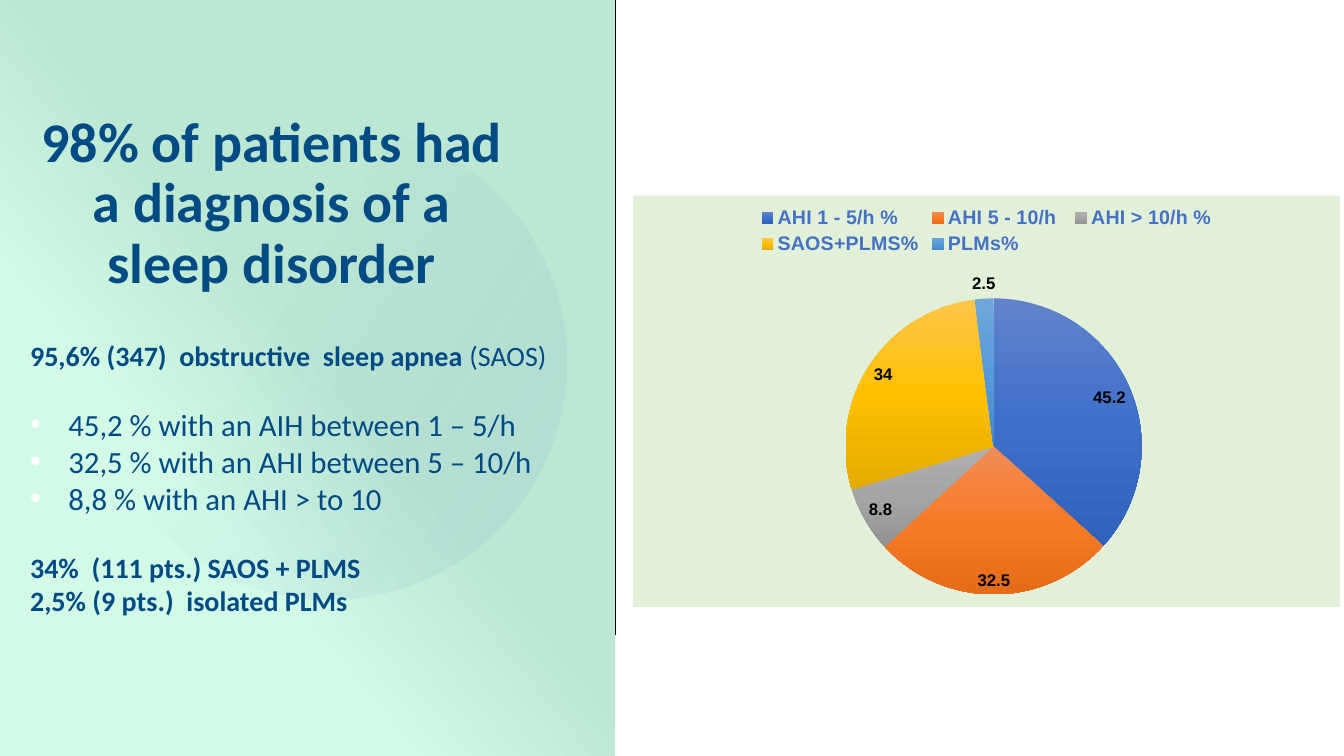
import pptx
import pptx.chart.data
import pptx.dml.color
import pptx.enum.chart
import pptx.enum.shapes
import pptx.enum.text
import pptx.oxml
import pptx.oxml.ns
import pptx.util

Inches = pptx.util.Inches
Pt = pptx.util.Pt
RGBColor = pptx.dml.color.RGBColor

NAVY = RGBColor(0x00, 0x4B, 0x84)
BLUE = RGBColor(0x44, 0x72, 0xC4)
PERIWINKLE = RGBColor(0x8D, 0xA9, 0xDB)
MINT = RGBColor(0xBC, 0xE7, 0xD3)
PALE_MINT = RGBColor(0xD3, 0xFA, 0xE7)
PALE_GREEN = RGBColor(0xE2, 0xF0, 0xD9)
WHITE = RGBColor(0xFF, 0xFF, 0xFF)
BLACK = RGBColor(0x00, 0x00, 0x00)

TITLE = {"name": "Calibri", "size": Pt(40), "bold": True}
STRONG = {"name": "Calibri", "size": Pt(20), "bold": True}
PLAIN = {"name": "Calibri", "size": Pt(20), "bold": False}
ITEM = {"name": "Calibri", "size": Pt(22), "bold": False}
LEGEND = {"name": "Arial", "size": Pt(14), "bold": True}
LABEL = {"name": "Arial", "size": Pt(12), "bold": True}

# Each slice: category, value, then its top, middle and bottom shade
SLICES = [
    ("AHI 1 - 5/h %", 45.2, ("6183CB", "3E70CA", "3062BB")),
    ("AHI 5 - 10/h ", 32.5, ("F18C57", "F67B28", "E56C19")),
    ("AHI > 10/h %", 8.8, ("AFAFAF", "A5A5A5", "939393")),
    ("SAOS+PLMS%", 34, ("FFC64B", "FFC000", "E3AB00")),
    ("PLMs%", 2.5, ("71A6DB", "559BDB", "448ACA")),
]

# Each paragraph: runs, space before in points, bulleted
FINDINGS = [
    ([("95,6% (347)  obstructive  sleep apnea ", STRONG), ("(SAOS)", PLAIN)], 0, False),
    ([("45,2 % with an AIH between 1 – 5/h", ITEM)], 24, True),
    ([("32,5 % with an AHI between 5 – 10/h", ITEM)], 0, True),
    ([("8,8 % with an AHI > to 10", ITEM)], 0, True),
    ([("34%  (111 pts.) SAOS + PLMS", STRONG)], 24, False),
    ([("2,5% (9 pts.)  isolated PLMs", STRONG)], 0, False),
]


def set_font(font, values, color):
    for key, value in values.items():
        setattr(font, key, value)
    font.color.rgb = color


def set_gradient(spPr, stops, angle):
    """Replace a solid fill by stops of (percent, colour, opacity percent)."""
    gs = "".join(
        f'<a:gs pos="{pos * 1000}"><a:srgbClr val="{color}">'
        f'<a:alpha val="{opacity * 1000}"/></a:srgbClr></a:gs>'
        for pos, color, opacity in stops
    )
    grad = pptx.oxml.parse_xml(
        f'<a:gradFill {pptx.oxml.ns.nsdecls("a")} rotWithShape="1"><a:gsLst>{gs}</a:gsLst>'
        f'<a:lin ang="{angle * 60000}" scaled="0"/></a:gradFill>'
    )
    spPr.replace(spPr.find(pptx.oxml.ns.qn("a:solidFill")), grad)


def add_gradient_shape(slide, kind, box, stops, angle):
    sp = slide.shapes.add_shape(kind, *map(Inches, box))
    sp.shadow.inherit = False
    sp.line.fill.background()
    sp.fill.solid()
    set_gradient(sp._element.spPr, stops, angle)


def add_edge(slide, x, bottom):
    line = slide.shapes.add_connector(
        pptx.enum.shapes.MSO_CONNECTOR.STRAIGHT, Inches(x), 0, Inches(x), Inches(bottom)
    )
    line.line.color.rgb = BLACK
    line.line.width = Pt(0.75)
    line._element.spPr.append(
        pptx.oxml.parse_xml(f'<a:effectLst {pptx.oxml.ns.nsdecls("a")}/>')
    )


def add_bullet(p):
    pPr = p._p.get_or_add_pPr()
    pPr.set("marL", str(Inches(0.38)))
    pPr.set("indent", str(-Inches(0.38)))
    ns = pptx.oxml.ns.nsdecls("a")
    for xml in (
        f'<a:buClr {ns}><a:srgbClr val="{WHITE}"/></a:buClr>',
        f'<a:buFont {ns} typeface="Arial"/>',
        f'<a:buChar {ns} char="•"/>',
    ):
        pPr.append(pptx.oxml.parse_xml(xml))


def add_text(slide, box, paragraphs, **formats):
    """Add a text box; formats are paragraph attributes."""
    tf = slide.shapes.add_textbox(*map(Inches, box)).text_frame
    tf.word_wrap = True
    for i, (runs, before, bulleted) in enumerate(paragraphs):
        p = tf.paragraphs[0] if i == 0 else tf.add_paragraph()
        for key, value in formats.items():
            setattr(p, key, value)
        p.space_before = Pt(before)
        if bulleted:
            add_bullet(p)
        for text, font in runs:
            r = p.add_run()
            r.text = text
            set_font(r.font, font, NAVY)
    return tf


def style_chart_area(chart):
    """Fill the chart background and fix the place of the pie."""
    ns = pptx.oxml.ns.nsdecls("c", "a")
    area = pptx.oxml.parse_xml(
        f'<c:spPr {ns}><a:solidFill><a:srgbClr val="{PALE_GREEN}"/></a:solidFill>'
        "<a:ln><a:noFill/></a:ln></c:spPr>"
    )
    space = chart._chartSpace
    space.find(pptx.oxml.ns.qn("c:chart")).addnext(area)
    place = {"x": 0.3, "y": 0.25, "w": 0.42, "h": 0.72}
    layout = pptx.oxml.parse_xml(
        f'<c:layout {ns}><c:manualLayout><c:layoutTarget val="inner"/>'
        '<c:xMode val="edge"/><c:yMode val="edge"/>'
        + "".join(f'<c:{key} val="{value}"/>' for key, value in place.items())
        + "</c:manualLayout></c:layout>"
    )
    plot = space.xpath("c:chart/c:plotArea")[0]
    for old in plot.findall(pptx.oxml.ns.qn("c:layout")):
        plot.remove(old)
    plot.insert(0, layout)


def add_pie(slide, box):
    data = pptx.chart.data.CategoryChartData()
    data.categories = [name for name, _, _ in SLICES]
    data.add_series("Series 1", [value for _, value, _ in SLICES])
    chart = slide.shapes.add_chart(
        pptx.enum.chart.XL_CHART_TYPE.PIE, *map(Inches, box), data
    ).chart
    chart.has_title = False
    set_font(chart.font, {"name": "Arial", "size": Pt(10)}, BLACK)
    chart.has_legend = True
    chart.legend.position = pptx.enum.chart.XL_LEGEND_POSITION.TOP
    chart.legend.include_in_layout = False
    set_font(chart.legend.font, LEGEND, BLUE)

    plot = chart.plots[0]
    plot.vary_by_categories = True
    series = plot.series[0]
    labels = series.data_labels
    labels.show_value = True
    labels.position = pptx.enum.chart.XL_LABEL_POSITION.BEST_FIT
    set_font(labels.font, LABEL, BLACK)
    for i in range(len(SLICES)):
        series.points[i].format.fill.solid()
    spPrs = chart._chartSpace.xpath(".//c:dPt/c:spPr")
    for spPr, (_, _, shades) in zip(spPrs, SLICES):
        set_gradient(spPr, [(50 * i, shade, 100) for i, shade in enumerate(shades)], 90)
    style_chart_area(chart)


def main():
    prs = pptx.Presentation()
    prs.slide_width, prs.slide_height = Inches(13.33), Inches(7.5)
    slide = prs.slides.add_slide(prs.slide_layouts[6])
    shapes = pptx.enum.shapes.MSO_SHAPE

    add_edge(slide, 6.1, 6.3)
    add_gradient_shape(slide, shapes.RECTANGLE, (0, 0, 6.1, 7.5),
                       [(47, MINT, 100), (68, PALE_MINT, 100)], 140)
    add_gradient_shape(slide, shapes.OVAL, (0.9, 1.23, 4.72, 4.72),
                       [(0, BLUE, 0), (39, BLUE, 0), (100, PERIWINKLE, 15)], 32)

    title = "98% of patients had a diagnosis of a sleep disorder"
    tf = add_text(slide, (0.28, -0.33, 4.83, 3.31), [([(title, TITLE)], 0, False)],
                  alignment=pptx.enum.text.PP_ALIGN.CENTER, line_spacing=0.9)
    tf.vertical_anchor = pptx.enum.text.MSO_ANCHOR.BOTTOM
    add_text(slide, (0.2, 3.31, 5.85, 1.8), FINDINGS)
    add_pie(slide, (6.28, 1.94, 7.01, 4.08))
    prs.save("out.pptx")


if __name__ == "__main__":
    main()
